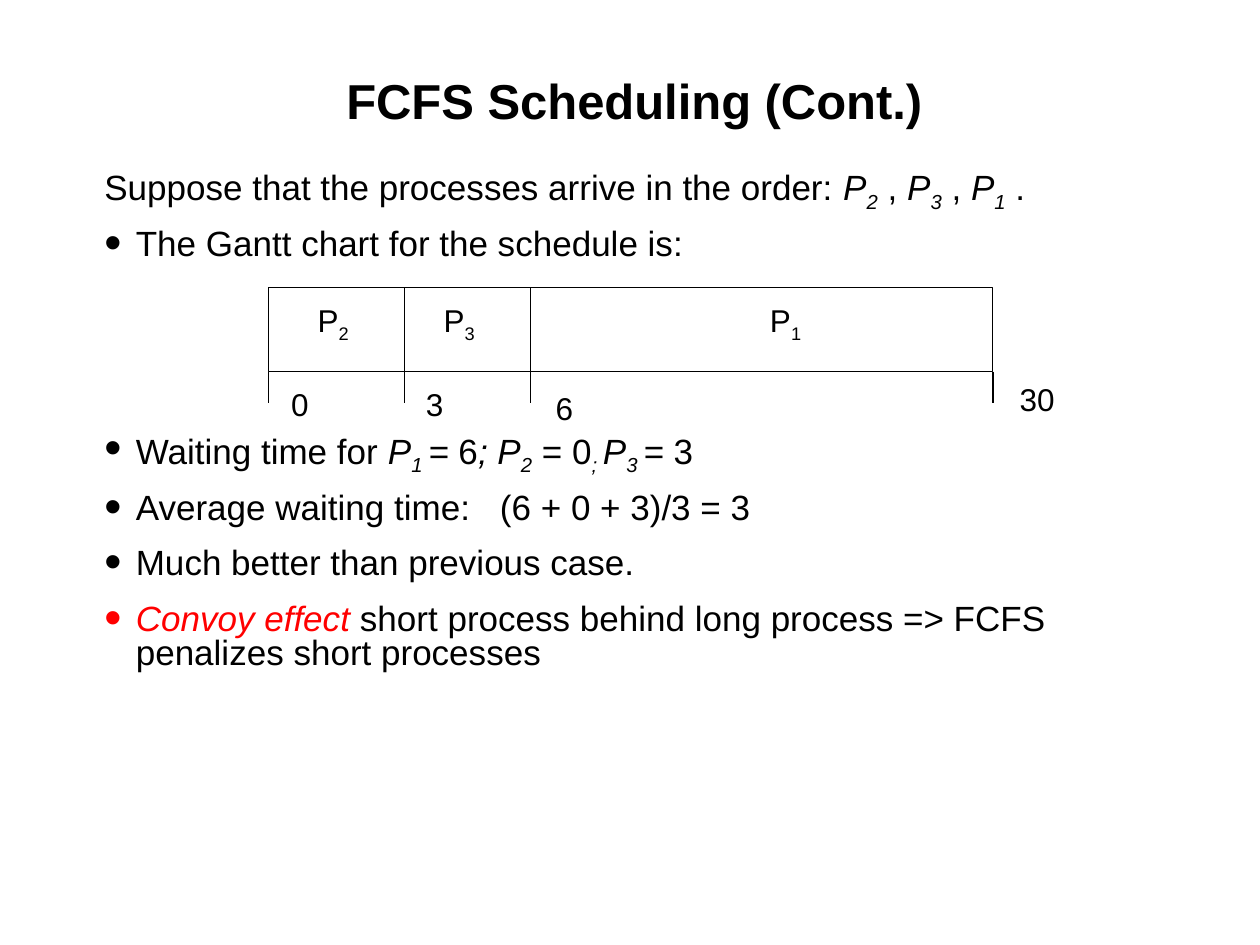
from lxml.etree import SubElement
from pptx import Presentation
from pptx.dml.color import RGBColor
from pptx.enum.shapes import MSO_CONNECTOR, MSO_SHAPE
from pptx.enum.text import MSO_ANCHOR, PP_ALIGN
from pptx.oxml.ns import qn
from pptx.util import Inches, Pt

BLACK = RGBColor(0x00, 0x00, 0x00)
WHITE = RGBColor(0xFF, 0xFF, 0xFF)
RED = RGBColor(0xFF, 0x00, 0x00)
FONT = "Arial"

BAR_TOP, BAR_BOTTOM, TICK_BOTTOM = 2.28, 2.95, 3.2
BAR_LEFT, BAR_RIGHT = 2.13, 7.88
DIVIDERS = (3.21, 4.21)

ORDER = [
    ("Suppose that the processes arrive in the order: ", ""),
    ("P", "i"), ("2", "is"), (" , ", ""),
    ("P", "i"), ("3", "is"), (" , ", ""),
    ("P", "i"), ("1", "is"), (" .", ""),
]
GANTT = [("The Gantt chart for the schedule is:", "")]
WAITING = [
    ("Waiting time for ", ""), ("P", "i"), ("1 ", "is"), ("=", "i"), (" 6", ""),
    ("; P", "i"), ("2", "is"), (" = 0", ""), ("; ", "is"),
    ("P", "i"), ("3 ", "is"), ("= ", "i"), ("3", ""),
]
AVERAGE = [("Average waiting time:\t(6 + 0 + 3)/3 = 3", "")]
BETTER = [("Much better than previous case.", "")]
CONVOY = [
    ("Convoy effect", "ir"),
    (" short process behind long process => FCFS penalizes short processes", ""),
]


def add_runs(paragraph, runs, size, bold=False):
    for text, style in runs:
        run = paragraph.add_run()
        run.text = text
        font = run.font
        font.name = FONT
        font.size = Pt(size)
        font.bold = bold
        font.italic = "i" in style
        font.color.rgb = RED if "r" in style else BLACK
        if "s" in style:
            run._r.get_or_add_rPr().set("baseline", "-25000")


def add_text_box(slide, left, top, width, height, anchor, wrap):
    shape = slide.shapes.add_textbox(
        Inches(left), Inches(top), Inches(width), Inches(height))
    frame = shape.text_frame
    frame.word_wrap = wrap
    frame.vertical_anchor = anchor
    return frame


def add_label(slide, left, top, width, height, runs, size=18, bold=False):
    frame = add_text_box(slide, left, top, width, height, MSO_ANCHOR.MIDDLE, False)
    paragraph = frame.paragraphs[0]
    paragraph.alignment = PP_ALIGN.CENTER
    add_runs(paragraph, runs, size, bold)


def add_bullet(paragraph, color):
    properties = paragraph._p.get_or_add_pPr()
    bullet_color = SubElement(properties, qn("a:buClr"))
    SubElement(bullet_color, qn("a:srgbClr"), val=str(color))
    SubElement(properties, qn("a:buSzPct"), val="140000")
    SubElement(properties, qn("a:buFont"), typeface=FONT)
    SubElement(properties, qn("a:buChar"), char="•")


def add_tab_stop(paragraph, position):
    tabs = SubElement(paragraph._p.get_or_add_pPr(), qn("a:tabLst"))
    SubElement(tabs, qn("a:tab"), pos=str(Inches(position)), algn="l")


def add_body(slide):
    frame = add_text_box(slide, 0.73, 1.3, 8.47, 4.31, MSO_ANCHOR.TOP, True)
    items = [
        (ORDER, None, 0), (GANTT, BLACK, 12.5), (WAITING, BLACK, 97),
        (AVERAGE, BLACK, 12.5), (BETTER, BLACK, 12.5), (CONVOY, RED, 12.5),
    ]
    for index, (runs, bullet_color, space_before) in enumerate(items):
        paragraph = frame.add_paragraph() if index else frame.paragraphs[0]
        properties = paragraph._p.get_or_add_pPr()
        properties.set("marL", str(Inches(0.25)))
        properties.set("indent", str(Inches(-0.25)))
        if bullet_color is not None:
            add_bullet(paragraph, bullet_color)
        if runs is AVERAGE:
            add_tab_stop(paragraph, 3.14)
        paragraph.line_spacing = 0.8
        paragraph.space_before = Pt(space_before)
        add_runs(paragraph, runs, 20)


def add_line(slide, x, top, bottom):
    line = slide.shapes.add_connector(
        MSO_CONNECTOR.STRAIGHT, Inches(x), Inches(top), Inches(x), Inches(bottom))
    line.line.color.rgb = BLACK
    line.line.width = Pt(0.75)
    SubElement(line._element.spPr, qn("a:effectLst"))


def add_gantt_chart(slide):
    bar = slide.shapes.add_shape(
        MSO_SHAPE.RECTANGLE, Inches(BAR_LEFT), Inches(BAR_TOP),
        Inches(BAR_RIGHT - BAR_LEFT), Inches(BAR_BOTTOM - BAR_TOP))
    bar.shadow.inherit = False
    bar.fill.solid()
    bar.fill.fore_color.rgb = WHITE
    bar.line.color.rgb = BLACK
    bar.line.width = Pt(0.75)
    for number, left in (("2", 2.42), ("3", 3.42), ("1", 6.01)):
        add_label(slide, left, 2.34, 0.45, 0.44, [("P", ""), (number, "s")])
    for x in DIVIDERS:
        add_line(slide, x, BAR_TOP, BAR_BOTTOM)
    for x in (BAR_LEFT, *DIVIDERS, BAR_RIGHT):
        add_line(slide, x, BAR_BOTTOM, TICK_BOTTOM)
    times = (("0", 2.21, 3.01, 0.34), ("3", 3.28, 3.01, 0.34),
             ("6", 4.31, 3.04, 0.34), ("30", 7.99, 2.97, 0.48))
    for time, left, top, width in times:
        add_label(slide, left, top, width, 0.4, [(time, "")])


def main():
    presentation = Presentation()
    presentation.slide_width = Inches(10)
    presentation.slide_height = Inches(7.5)
    slide = presentation.slides.add_slide(presentation.slide_layouts[6])
    add_label(slide, 1.27, 0.54, 7.53, 0.5,
              [("FCFS Scheduling (Cont.)", "")], size=28, bold=True)
    add_body(slide)
    add_gantt_chart(slide)
    presentation.save("out.pptx")


if __name__ == "__main__":
    main()
